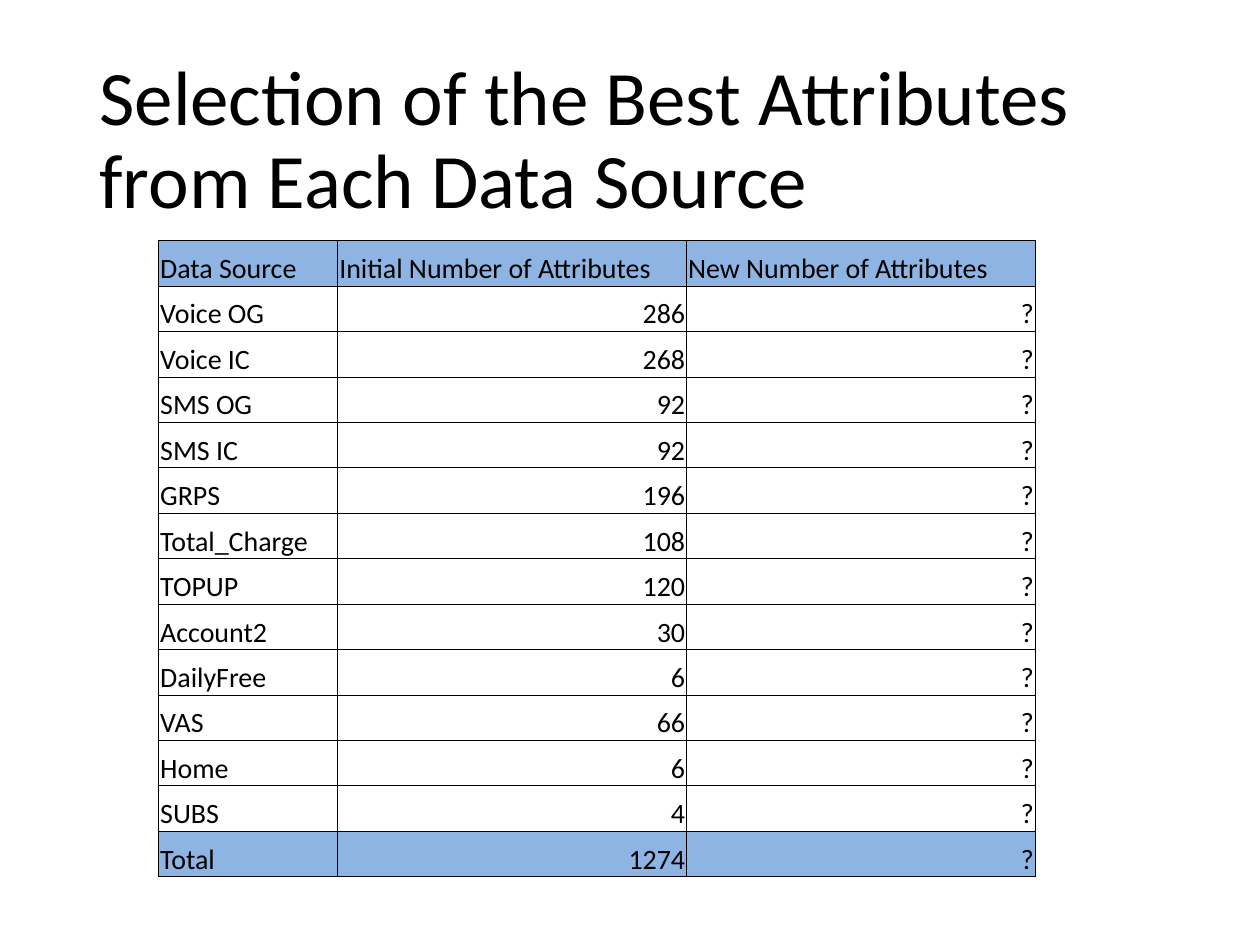
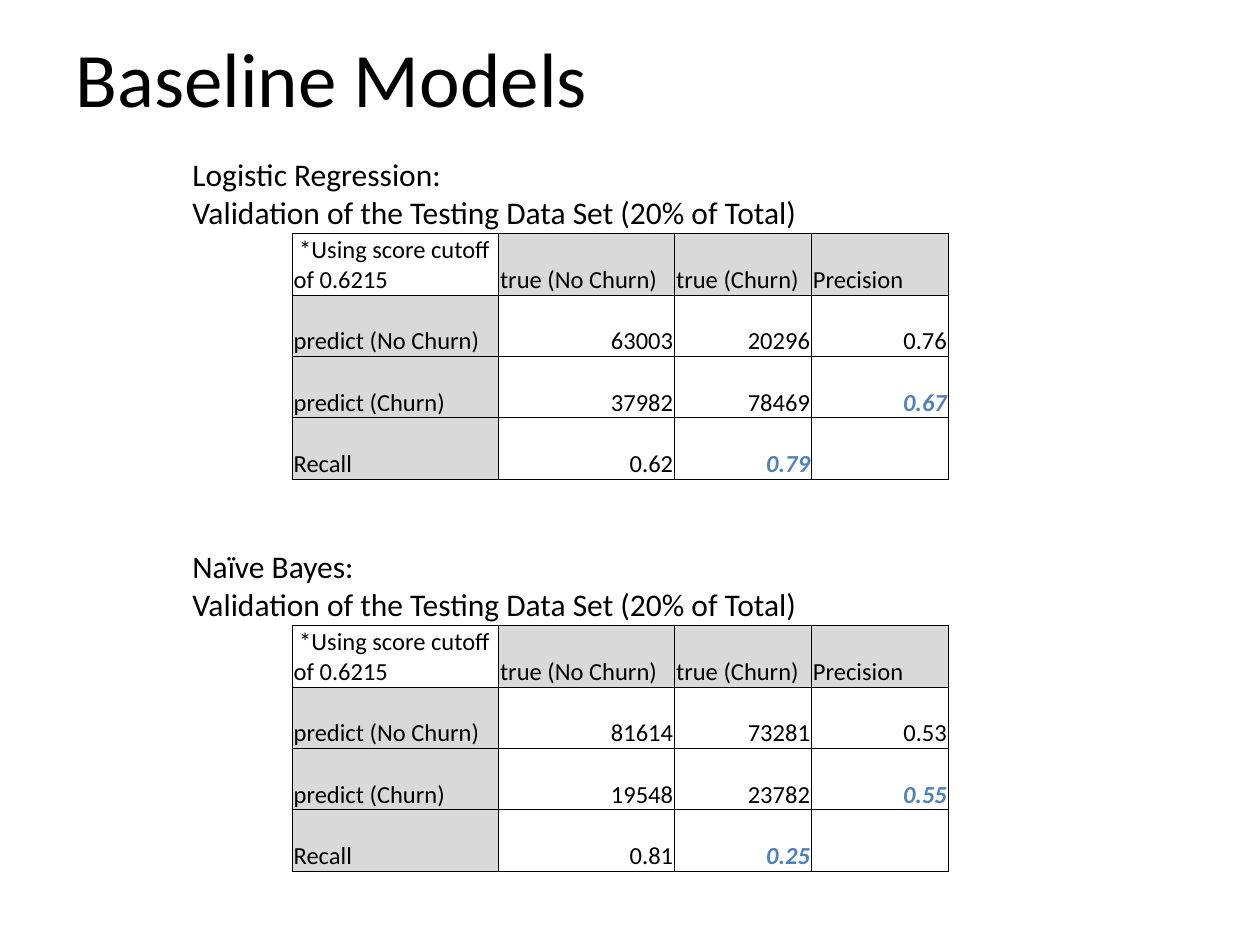
from dataclasses import dataclass

from lxml import etree
from pptx import Presentation
from pptx.dml.color import RGBColor
from pptx.enum import text
from pptx.oxml import ns
from pptx.util import Cm, Pt

BLACK = RGBColor(0x00, 0x00, 0x00)
HEADER_BLUE = RGBColor(0x8D, 0xB4, 0xE2)
LABEL_GREY = RGBColor(0xD9, 0xD9, 0xD9)
ACCENT_BLUE = RGBColor(0x4F, 0x81, 0xBD)

FONT = "Calibri"
TITLE_ONLY = 5
LEFT, RIGHT = text.PP_ALIGN.LEFT, text.PP_ALIGN.RIGHT
CELL_FORMAT = {
    "vertical_anchor": text.MSO_ANCHOR.BOTTOM,
    "margin_left": Cm(0.03),
    "margin_right": Cm(0.03),
    "margin_top": Cm(0.03),
    "margin_bottom": 0,
}
TITLE_FORMAT = {
    "word_wrap": True,
    "auto_size": text.MSO_AUTO_SIZE.NONE,
    "vertical_anchor": text.MSO_ANCHOR.MIDDLE,
}
CAPTION_FORMAT = {"word_wrap": False, "auto_size": text.MSO_AUTO_SIZE.SHAPE_TO_FIT_TEXT}


@dataclass(frozen=True)
class Place:
    left: float
    top: float
    width: float
    height: float

    def lengths(self) -> tuple:
        return Cm(self.left), Cm(self.top), Cm(self.width), Cm(self.height)


@dataclass(frozen=True)
class Grid:
    left: float
    top: float
    height: float
    columns: tuple
    size: int
    rows: list
    shade: RGBColor
    shaded: set
    left_aligned: set
    accented: frozenset = frozenset()


@dataclass(frozen=True)
class Model:
    name: str
    top: float
    no_churn: tuple
    churn: tuple
    recall: tuple


ATTRIBUTE_COUNTS = {
    "Voice OG": 286,
    "Voice IC": 268,
    "SMS OG": 92,
    "SMS IC": 92,
    "GRPS": 196,
    "Total_Charge": 108,
    "TOPUP": 120,
    "Account2": 30,
    "DailyFree": 6,
    "VAS": 66,
    "Home": 6,
    "SUBS": 4,
}

MODELS = (
    Model("Logistic Regression:", 3, ("63003", "20296", "0.76"),
          ("37982", "78469", "0.67"), ("0.62", "0.79", "")),
    Model("Naïve Bayes:", 10.9, ("81614", "73281", "0.53"),
          ("19548", "23782", "0.55"), ("0.81", "0.25", "")),
)


def apply(target, values: dict) -> None:
    for name, value in values.items():
        setattr(target, name, value)


def write(frame, content: str, size: int, align=LEFT, color=BLACK,
          spacing=None, emphasis: bool = False) -> None:
    for index, line in enumerate(content.split("\n")):
        para = frame.add_paragraph() if index else frame.paragraphs[0]
        apply(para, {"alignment": align, "line_spacing": spacing})
        span = para.add_run()
        span.text = line
        apply(span.font, {"name": FONT, "size": Pt(size), "bold": emphasis, "italic": emphasis})
        span.font.color.rgb = color


def add_page(deck, title: str, place: Place):
    page = deck.slides.add_slide(deck.slide_layouts[TITLE_ONLY])
    box = page.shapes.title
    apply(box, dict(zip(("left", "top", "width", "height"), place.lengths())))
    apply(box.text_frame, TITLE_FORMAT)
    write(box.text_frame, title, 44, spacing=0.9)
    return page


def add_borders(cell) -> None:
    properties = cell._tc.get_or_add_tcPr()
    for side in ("lnL", "lnR", "lnT", "lnB"):
        line = etree.SubElement(properties, ns.qn(f"a:{side}"), w=str(Pt(0.5)))
        fill = etree.SubElement(line, ns.qn("a:solidFill"))
        etree.SubElement(fill, ns.qn("a:srgbClr"), val=str(BLACK))


def add_grid(page, grid: Grid) -> None:
    place = Place(grid.left, grid.top, sum(grid.columns), grid.height)
    table = page.shapes.add_table(len(grid.rows), len(grid.columns), *place.lengths()).table
    apply(table, {"first_row": False, "horz_banding": False})
    for column, width in zip(table.columns, grid.columns):
        column.width = Cm(width)
    for row_index, row in enumerate(grid.rows):
        table.rows[row_index].height = Cm(grid.height / len(grid.rows))
        for column_index, content in enumerate(row):
            spot = (row_index, column_index)
            cell = table.cell(*spot)
            apply(cell, CELL_FORMAT)
            add_borders(cell)
            if spot in grid.shaded:
                cell.fill.solid()
                cell.fill.fore_color.rgb = grid.shade
            else:
                cell.fill.background()
            if content:
                accented = spot in grid.accented
                write(cell.text_frame, content, grid.size,
                      LEFT if spot in grid.left_aligned else RIGHT,
                      ACCENT_BLUE if accented else BLACK, emphasis=accented)


def edge_cells(row_count: int, column_count: int) -> set:
    return {(row, column) for row in range(row_count)
            for column in range(column_count) if 0 in (row, column)}


def add_attributes_page(deck) -> None:
    page = add_page(deck, "Selection of the Best Attributes from Each Data Source",
                    Place(1.75, 1.02, 21.9, 3.68))
    rows = [("Data Source", "Initial Number of Attributes", "New Number of Attributes")]
    rows += [(source, str(count), "?") for source, count in ATTRIBUTE_COUNTS.items()]
    rows.append(("Total", str(sum(ATTRIBUTE_COUNTS.values())), "?"))
    shaded = {(row, column) for row in (0, len(rows) - 1) for column in range(3)}
    add_grid(page, Grid(3.2, 4.85, 12.83, (3.61, 7.03, 7.03), 16, rows,
                        HEADER_BLUE, shaded, edge_cells(len(rows), 3)))


def add_model(page, model: Model) -> None:
    rows = [
        (" *Using score cutoff\nof 0.6215", "true (No Churn)", "true (Churn)", "Precision"),
        ("predict (No Churn)", *model.no_churn),
        ("predict (Churn)", *model.churn),
        ("Recall", *model.recall),
    ]
    edges = edge_cells(4, 4)
    add_grid(page, Grid(5.89, model.top + 1.71, 4.95, (4.16, 3.55, 2.76, 2.76), 14, rows,
                        LABEL_GREY, edges - {(0, 0)}, edges, frozenset({(2, 3), (3, 2)})))
    box = page.shapes.add_textbox(*Place(3.63, model.top, 13, 1.8).lengths())
    apply(box.text_frame, CAPTION_FORMAT)
    write(box.text_frame, f"{model.name}\nValidation of the Testing Data Set (20% of Total)", 18)


def add_models_page(deck) -> None:
    page = add_page(deck, "Baseline Models", Place(1.27, 0.08, 22.86, 3.18))
    for model in MODELS:
        add_model(page, model)


def main() -> None:
    deck = Presentation()
    apply(deck, {"slide_width": Cm(25.4), "slide_height": Cm(19.05)})
    add_attributes_page(deck)
    add_models_page(deck)
    deck.save("out.pptx")


if __name__ == "__main__":
    main()
